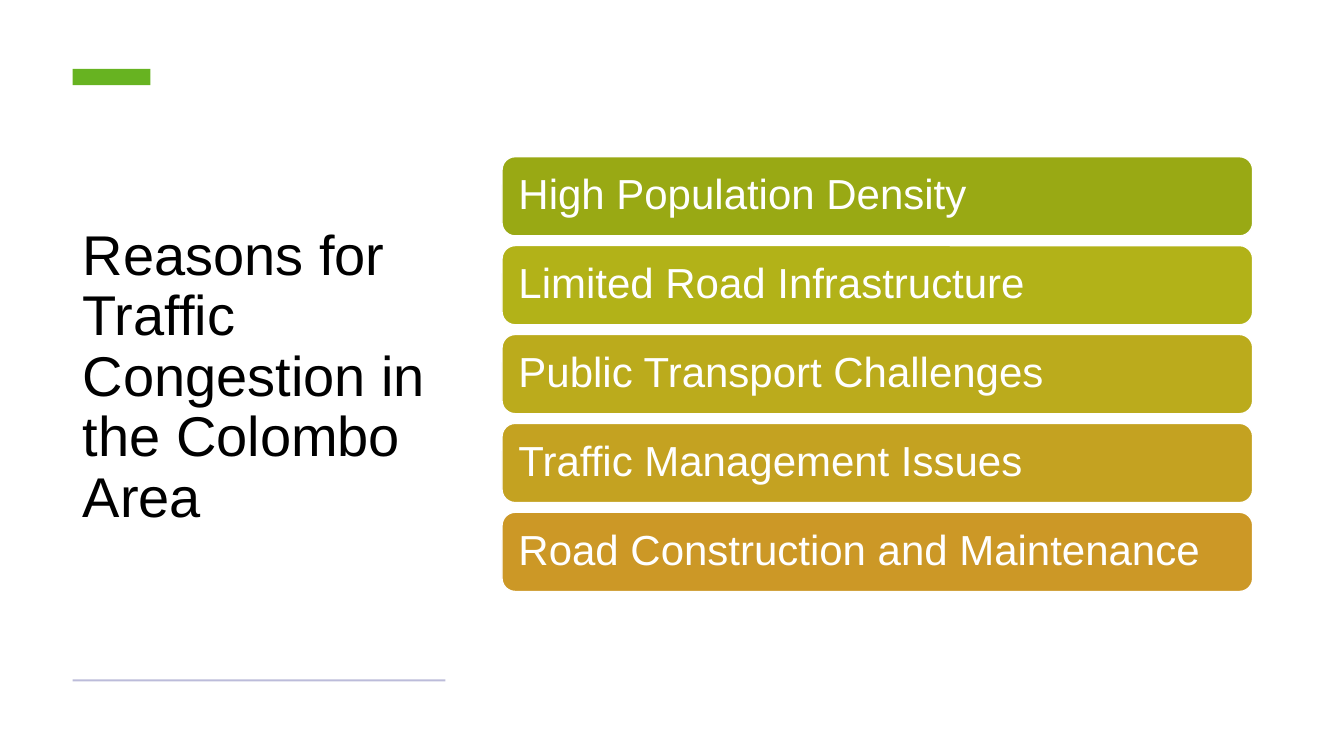
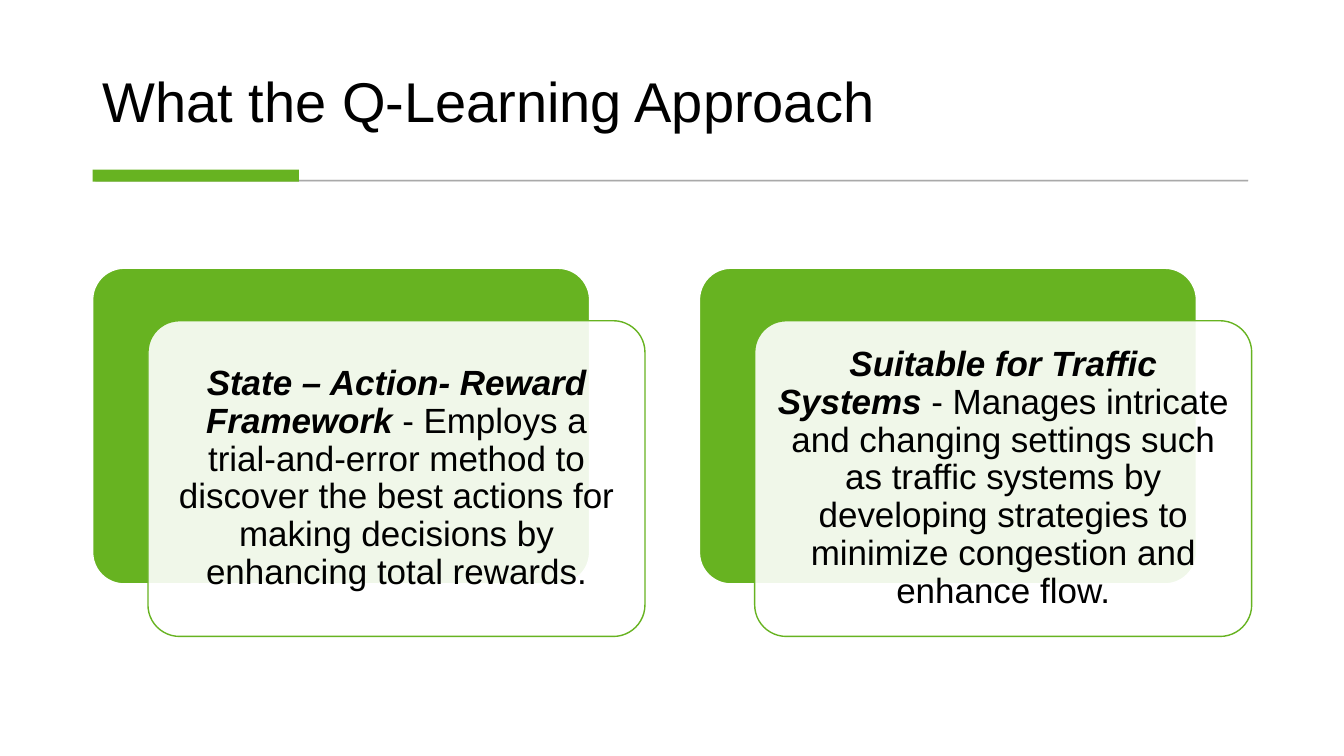
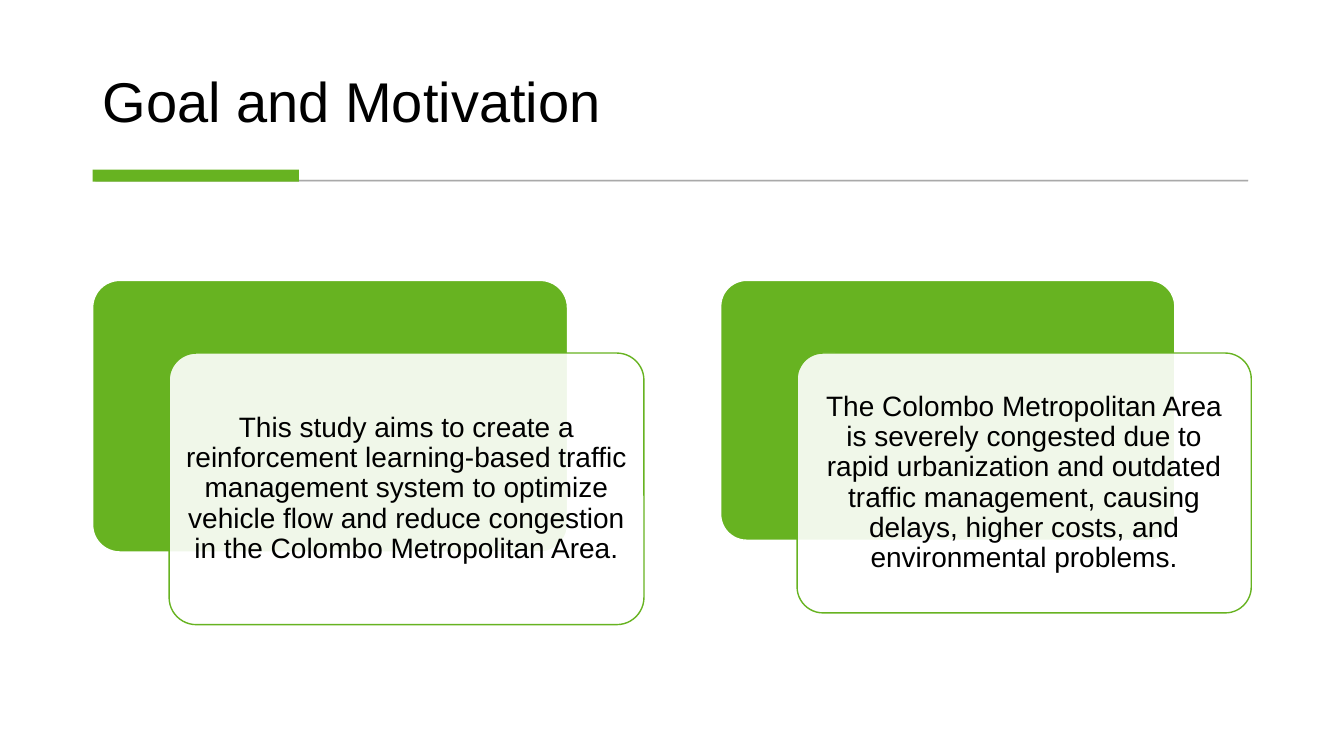
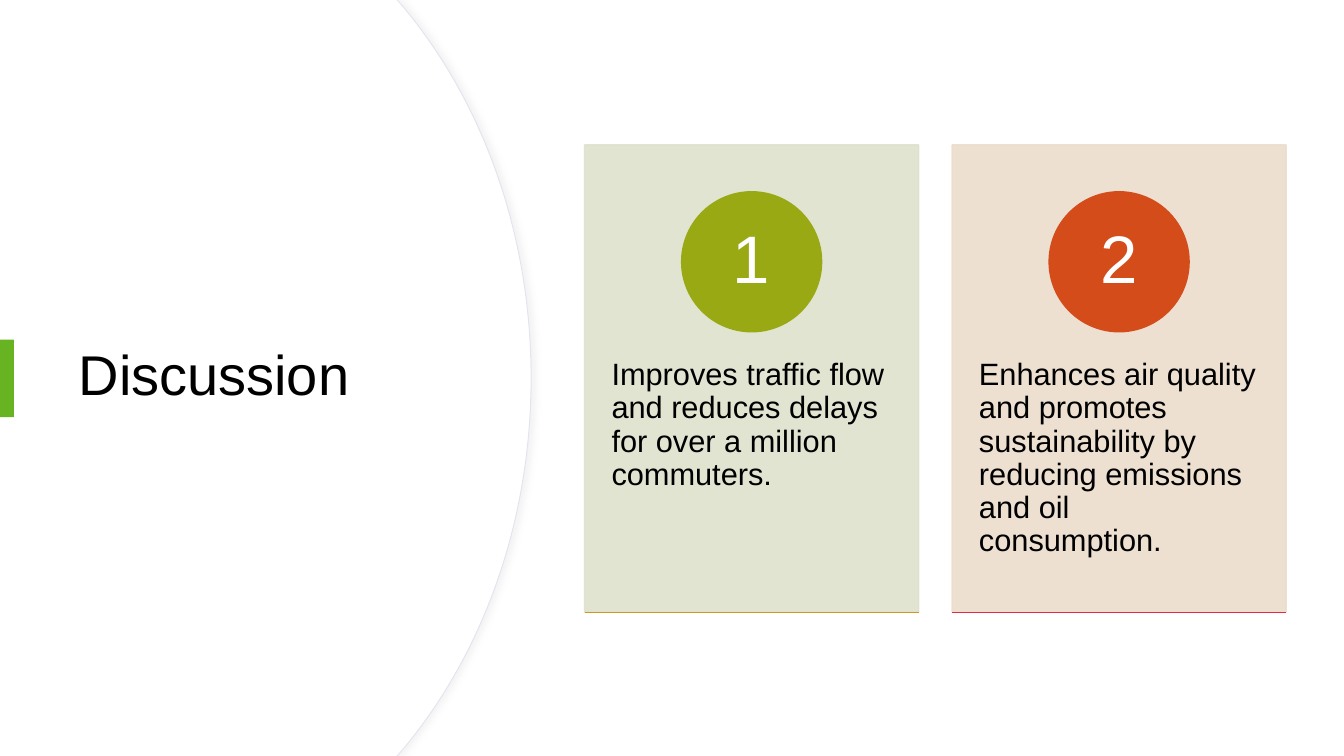
from dataclasses import dataclass
from typing import Optional

from pptx import Presentation
from pptx.dml.color import RGBColor
from pptx.enum.shapes import MSO_CONNECTOR, MSO_SHAPE
from pptx.enum.text import MSO_ANCHOR, MSO_AUTO_SIZE, PP_ALIGN
from pptx.oxml import parse_xml
from pptx.oxml.ns import nsdecls, qn
from pptx.oxml.xmlchemy import OxmlElement
from pptx.util import Pt

RECT, ROUND, OVAL = MSO_SHAPE.RECTANGLE, MSO_SHAPE.ROUNDED_RECTANGLE, MSO_SHAPE.OVAL
STRAIGHT = MSO_CONNECTOR.STRAIGHT
TOP, MID, BASE = MSO_ANCHOR.TOP, MSO_ANCHOR.MIDDLE, MSO_ANCHOR.BOTTOM
LEFT, MIDDLE = PP_ALIGN.LEFT, PP_ALIGN.CENTER
FIXED = MSO_AUTO_SIZE.NONE

# Shared look
WIDE, HIGH = 960, 540
FONT = "Arial"
BLACK, WHITE, GREEN = "000000", "FFFFFF", "67B321"
GREY, LILAC, PALE, SHADE = "595959", "BCBCDA", "E4E4F0", "D9D9D9"
LEAD = 0.9


@dataclass
class Area:
    left: float
    top: float
    width: float
    height: float

    def lengths(self) -> tuple:
        return Pt(self.left), Pt(self.top), Pt(self.width), Pt(self.height)


@dataclass
class Bar:
    text: str
    color: str


@dataclass
class Pair:
    back: Area
    shift: tuple[float, float]
    size: int
    inset: float
    text: str
    head: str = ""


@dataclass
class Card:
    number: str
    text: str
    panel: str
    badge: str
    rule: str


BARS = [
    Bar("High Population Density", "99A914"),
    Bar("Limited Road Infrastructure", "B2B218"),
    Bar("Public Transport Challenges", "BBAB1C"),
    Bar("Traffic Management Issues", "C4A221"),
    Bar("Road Construction and Maintenance", "CC9826"),
]

METHOD = [
    Pair(Area(66.2, 191.6, 355, 225.5), (39.5, 37.5), 25, 8.6,
         "- Employs a trial-and-error method to discover the best actions for "
         "making decisions by enhancing total rewards.",
         "State – Action- Reward Framework "),
    Pair(Area(499.6, 191.6, 355, 225.5), (39.5, 37.5), 25, 8.6,
         "- Manages intricate and changing settings such as traffic systems by "
         "developing strategies to minimize congestion and enhance flow.",
         "Suitable for Traffic Systems "),
]

GOALS = [
    Pair(Area(66.2, 200.3, 339.2, 194), (54.6, 51.9), 20, 6,
         "This study aims to create a reinforcement learning-based traffic "
         "management system to optimize vehicle flow and reduce congestion in "
         "the Colombo Metropolitan Area."),
    Pair(Area(514.8, 200.3, 324.4, 185.6), (54.6, 51.9), 20, 6,
         "The Colombo Metropolitan Area is severely congested due to rapid "
         "urbanization and outdated traffic management, causing delays, higher "
         "costs, and environmental problems."),
]

CARDS = [
    Card("1", "Improves traffic flow and reduces delays for over a million commuters.",
         "DEE2CC", "99A914", "CC9826"),
    Card("2", "Enhances air quality and promotes sustainability by reducing "
         "emissions and oil consumption.", "ECDDCD", "D44C19", "E52A45"),
]


def tint(target, color: str) -> None:
    target.rgb = RGBColor.from_string(color)


def paint(shape, fill: str, line: Optional[str] = None,
          weight: float = 1, alpha: int = 100) -> None:
    """Fill and outline; alpha acts on the fill and on a line of its colour."""
    shape.shadow.inherit = False
    shape.fill.solid()
    tint(shape.fill.fore_color, fill)
    if line:
        tint(shape.line.color, line)
        shape.line.width = Pt(weight)
    else:
        shape.line.fill.background()
    if alpha < 100:
        for node in shape.element.spPr.iter(qn("a:srgbClr")):
            if node.get("val") == fill:
                fade = OxmlElement("a:alpha")
                fade.set("val", str(alpha * 1000))
                node.append(fade)


def draw(slide, kind, area: Area, fill: str, line: Optional[str] = None,
         weight: float = 1, alpha: int = 100):
    shape = slide.shapes.add_shape(kind, *area.lengths())
    paint(shape, fill, line, weight, alpha)
    return shape


def write(shape, text: str, size: int, color: str = BLACK, align=LEFT,
          anchor=MID, inset: tuple = (7.2, 3.6), top: Optional[float] = None,
          head: str = "") -> None:
    frame = shape.text_frame
    frame.word_wrap = True
    frame.auto_size = FIXED
    frame.vertical_anchor = anchor
    frame.margin_left = frame.margin_right = Pt(inset[0])
    frame.margin_top = frame.margin_bottom = Pt(inset[1])
    if top is not None:
        frame.margin_top = Pt(top)
    para = frame.paragraphs[0]
    para.alignment = align
    para.line_spacing = LEAD
    para.font.name = FONT
    para.font.size = Pt(size)
    tint(para.font.color, color)
    if head:
        run = para.add_run()
        run.text = head
        run.font.bold = run.font.italic = True
    para.add_run().text = text


def start(deck, text: str, area: Area, anchor=MID):
    """New slide with its title placed."""
    slide = deck.slides.add_slide(deck.slide_layouts.get_by_name("Title Only"))
    title = slide.shapes.title
    title.left, title.top, title.width, title.height = area.lengths()
    write(title, text, 40, anchor=anchor)
    return slide


def dome(slide, edge: float, line: Optional[str] = None) -> None:
    """Half-round field bulging to the right as far as edge."""
    upper = [(edge - 95.7, 0), (edge - 90.7, 5.8), (edge - 34.5, 73.4), (edge, 167)]
    lower = [(x, HIGH - y) for x, y in reversed(upper)]
    points = upper + [(edge, HIGH / 2)] + lower + [(0, HIGH)]
    pen = slide.shapes.build_freeform(0, 0)
    pen.add_line_segments([(Pt(x), Pt(y)) for x, y in points])
    shape = pen.convert_to_shape()
    # Bend the two runs of three points into curves
    legs = list(shape.element.spPr.iter(qn("a:lnTo")))
    for trio in (legs[2:5], legs[5:8]):
        curve = OxmlElement("a:cubicBezTo")
        trio[0].addprevious(curve)
        for leg in trio:
            curve.append(leg[0])
            leg.getparent().remove(leg)
    paint(shape, WHITE, line, 0.75)
    if line:
        shape.element.spPr.find(qn("a:effectLst")).append(parse_xml(
            f'<a:outerShdw {nsdecls("a")} blurRad="{Pt(4)}" dist="{Pt(3)}" dir="0">'
            f'<a:srgbClr val="{SHADE}"><a:alpha val="30000"/></a:srgbClr>'
            '</a:outerShdw>'))


def reasons(deck) -> None:
    slide = start(deck, "Reasons for Traffic Congestion in the Colombo Area",
                  Area(52, 75.5, 266.5, 389.5))
    draw(slide, RECT, Area(52, 49.3, 55.5, 11.5), GREEN)
    draw(slide, RECT, Area(52, 485.3, 266.3, 1.4), LILAC)
    for i, bar in enumerate(BARS):
        box = draw(slide, ROUND, Area(358.6, 111.9 + i * 63.5, 536.2, 56.6),
                   bar.color, WHITE)
        write(box, bar.text, 30, WHITE, inset=(9, 0))


def pairs(deck, title: str, items: list[Pair]) -> None:
    slide = start(deck, title, Area(66.2, 20.2, 827.3, 79.9), BASE)
    # Rule under the title
    draw(slide, RECT, Area(68.4, 128.6, 823, 0.72), GREY, GREY, 0.75, 30)
    draw(slide, RECT, Area(66.2, 121.2, 147.4, 8.6), GREEN)
    # Overlapping panels
    for item in items:
        back = item.back
        front = Area(back.left + item.shift[0], back.top + item.shift[1],
                     back.width, back.height)
        draw(slide, ROUND, back, GREEN, WHITE).adjustments[0] = 0.1
        box = draw(slide, ROUND, front, WHITE, GREEN, alpha=90)
        box.adjustments[0] = 0.1
        write(box, item.text, item.size, align=MIDDLE,
              inset=(item.inset, item.inset), head=item.head)


def talk(deck) -> None:
    slide = start(deck, "Discussion", Area(49, 91.5, 283.5, 356.5))
    dome(slide, 379.4, PALE)
    dome(slide, 378.7)
    # Bring the title in front of the round field
    title = slide.shapes.title.element
    title.getparent().append(title)
    draw(slide, RECT, Area(0, 242.6, 10, 55.4), GREEN)
    # Numbered cards
    width, disc = 238.6, 100
    for i, card in enumerate(CARDS):
        area = Area(417.6 + i * 262.5, 103.5, width, 333.8)
        panel = draw(slide, RECT, area, card.panel, card.panel, alpha=90)
        write(panel, card.text, 22, anchor=TOP, inset=(19.2, 0), top=153)
        badge = draw(slide, OVAL, Area(area.left + (width - disc) / 2, 137, disc, disc),
                     card.badge, card.badge)
        write(badge, card.number, 48, WHITE, MIDDLE, inset=(0, 0))
        low = Pt(area.top + area.height)
        rule = slide.shapes.add_connector(STRAIGHT, Pt(area.left), low,
                                          Pt(area.left + width), low)
        tint(rule.line.color, card.rule)
        rule.line.width = Pt(0.75)
        rule.element.spPr.append(OxmlElement("a:effectLst"))


def main() -> None:
    deck = Presentation()
    deck.slide_width, deck.slide_height = Pt(WIDE), Pt(HIGH)
    reasons(deck)
    pairs(deck, "What the Q-Learning Approach", METHOD)
    pairs(deck, "Goal and Motivation", GOALS)
    talk(deck)
    deck.save("out.pptx")


if __name__ == "__main__":
    main()
